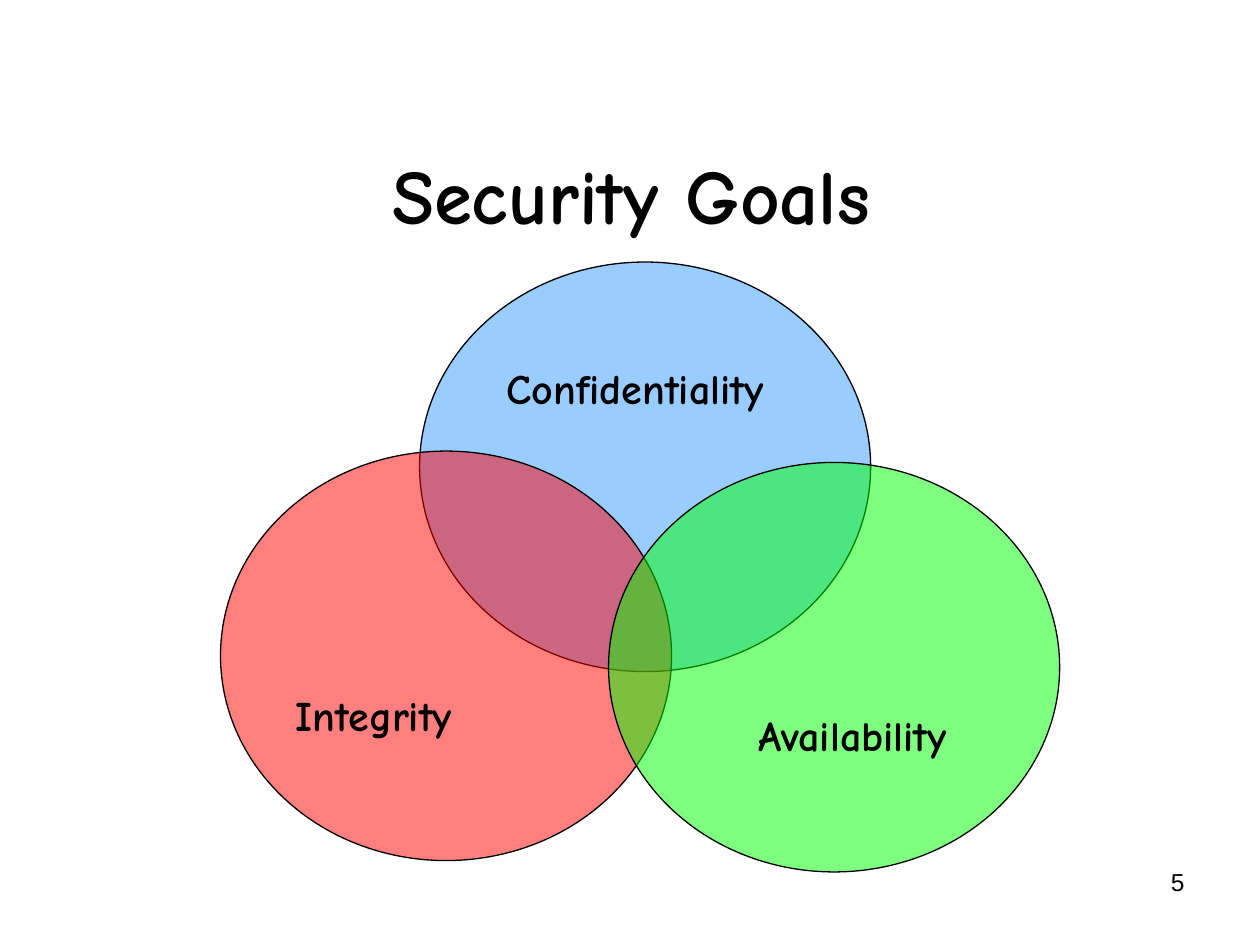
from dataclasses import dataclass

from lxml.etree import SubElement
from pptx import Presentation
from pptx.dml.color import RGBColor
from pptx.enum.shapes import MSO_SHAPE
from pptx.enum.text import MSO_ANCHOR, MSO_AUTO_SIZE, PP_ALIGN
from pptx.oxml.ns import qn
from pptx.util import Inches, Pt


@dataclass(frozen=True)
class Theme:
    ink: str = "000000"
    font: str = "Comic Neue"
    number_font: str = "Arial"
    title_size: int = 44
    label_size: int = 24
    number_size: int = 14
    line_width: float = 0.75


THEME = Theme()

# Content: left, top, width and height are in inches
TITLE = "Security Goals"
TITLE_BOX = (0.51, 0.91, 9, 1.25)
NUMBER = "5"
NUMBER_BOX = (7.17, 6.83, 2.33, 0.52)
CIRCLE_SIZE = (3.58, 3.25)
LABEL_HEIGHT = 0.5
# Goal, fill, opacity in percent, circle corner, label corner, label width
GOALS = [
    ("Confidentiality", "99CCFF", 100, (3.33, 2.08), (3.92, 2.83), 2.67),
    ("Integrity", "FF0000", 50, (1.75, 3.58), (2.25, 5.42), 2.17),
    ("Availability", "00FF00", 50, (4.83, 3.67), (5.92, 5.58), 2.25),
]


def inches(box):
    return [Inches(v) for v in box]


def write(sp, text, size, font=THEME.font, bold=True, align=PP_ALIGN.LEFT):
    tf = sp.text_frame
    tf.word_wrap = True
    tf.text = text
    p = tf.paragraphs[0]
    p.alignment = align
    p.font.name = font
    p.font.size = Pt(size)
    p.font.bold = bold
    p.font.color.rgb = RGBColor.from_string(THEME.ink)
    return tf


def add_circle(s, corner, color, opacity):
    sp = s.shapes.add_shape(MSO_SHAPE.OVAL, *inches(corner + CIRCLE_SIZE))
    sp.shadow.inherit = False
    sp.fill.solid()
    sp.fill.fore_color.rgb = RGBColor.from_string(color)
    if opacity < 100:
        clr = sp.fill._xPr.find(qn("a:solidFill")).find(qn("a:srgbClr"))
        SubElement(clr, qn("a:alpha")).set("val", str(opacity * 1000))
    sp.line.color.rgb = RGBColor.from_string(THEME.ink)
    sp.line.width = Pt(THEME.line_width)


def main():
    prs = Presentation()
    prs.slide_width, prs.slide_height = Inches(10), Inches(7.5)
    s = prs.slides.add_slide(prs.slide_layouts[5])

    # Title and slide number
    title = s.shapes.title
    title.left, title.top, title.width, title.height = inches(TITLE_BOX)
    tf = write(title, TITLE, THEME.title_size, align=PP_ALIGN.CENTER)
    tf.vertical_anchor = MSO_ANCHOR.MIDDLE
    tf.auto_size = MSO_AUTO_SIZE.NONE
    number = s.shapes.add_textbox(*inches(NUMBER_BOX))
    write(number, NUMBER, THEME.number_size, THEME.number_font, False, PP_ALIGN.RIGHT)

    # Overlapping circles, then their labels on top
    for _, color, opacity, corner, _, _ in GOALS:
        add_circle(s, corner, color, opacity)
    for goal, _, _, _, corner, width in GOALS:
        label = s.shapes.add_textbox(*inches(corner + (width, LABEL_HEIGHT)))
        tf = write(label, goal, THEME.label_size)
        tf.auto_size = MSO_AUTO_SIZE.SHAPE_TO_FIT_TEXT

    prs.save("out.pptx")


if __name__ == "__main__":
    main()
